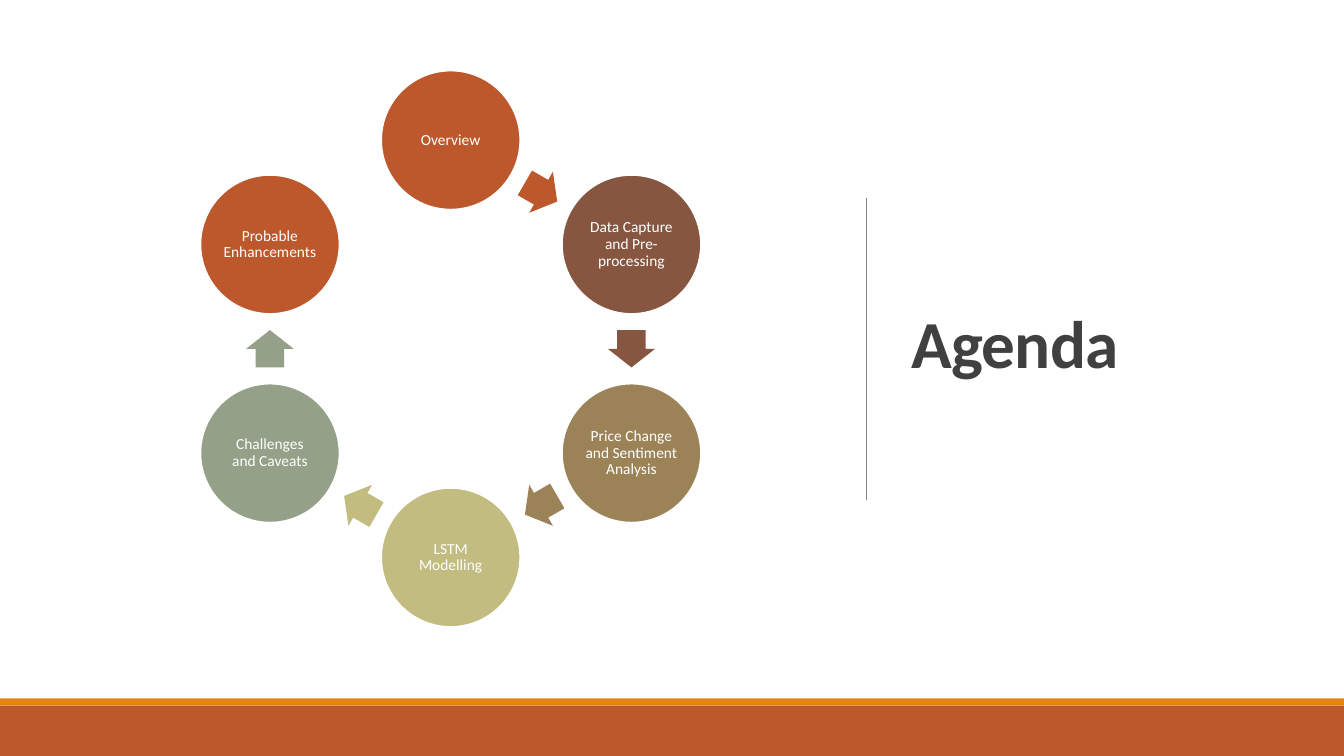
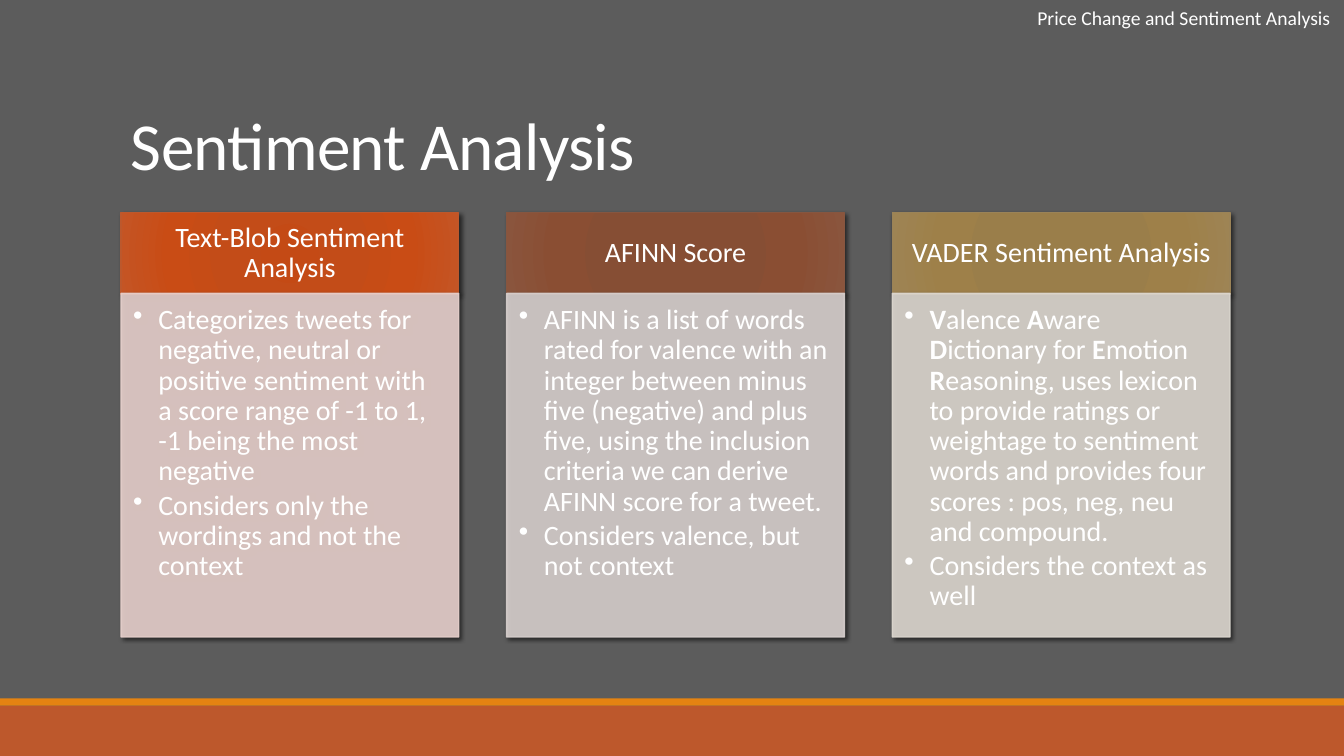
from math import cos, radians, sin

from pptx import Presentation
from pptx.dml.color import RGBColor
from pptx.enum.shapes import MSO_CONNECTOR, MSO_SHAPE
from pptx.enum.text import MSO_ANCHOR, MSO_AUTO_SIZE, PP_ALIGN
from pptx.oxml import parse_xml
from pptx.oxml.ns import nsdecls, qn
from pptx.util import Inches, Pt

# Shared look
COLORS = {
    "white": "FFFFFF", "dark": "404040", "gray": "5C5C5C", "rule": "808080",
    "rust": "BD582C", "orange": "E48312", "brown": "865640",
    "tan": "9B8357", "khaki": "C2BC80", "sage": "94A088",
    "rust_tint": "E8D1CD", "brown_tint": "D9D1CF", "tan_tint": "DED9D1",
}
FONT = "Calibri"
SLIDE_WIDTH, SLIDE_HEIGHT = 13.33, 7.5
TITLE_FORMAT = {"size": Pt(48)}

# Slide 1: topics around the ring, clockwise from the top
TOPICS = [
    ("Overview", "rust"),
    ("Data Capture and Pre-processing", "brown"),
    ("Price Change and Sentiment Analysis", "tan"),
    ("LSTM Modelling", "khaki"),
    ("Challenges and Caveats", "sage"),
    ("Probable Enhancements", "rust"),
]
RING_X, RING_Y, RING_RADIUS = 4.47, 3.46, 2.07
CIRCLE_SIZE = 1.38
ARROW_WIDTH, ARROW_HEIGHT = 0.37, 0.47

# Slide 2: one card per method; asterisks enclose bold letters
CARDS = [
    ("Text-Blob Sentiment Analysis", "rust",
     ["C44A15", "C34C18", "C94C15", "C45525"],
     ["Categorizes tweets for negative, neutral or positive sentiment with "
      "a score range of -1 to 1, -1 being the most negative",
      "Considers only the wordings and not the context"]),
    ("AFINN Score", "brown",
     ["874C32", "864E34", "8A4E33", "8A553D"],
     ["AFINN is a list of words rated for valence with an integer between "
      "minus five (negative) and plus five, using the inclusion criteria we "
      "can derive AFINN score for a tweet.",
      "Considers valence, but not context"]),
    ("VADER Sentiment Analysis", "tan",
     ["9A7D48", "9A7E4A", "9E8049", "9E8454"],
     ["*V*alence *A*ware *D*ictionary for *E*motion *R*easoning, uses lexicon "
      "to provide ratings or weightage to sentiment words and provides four "
      "scores : pos, neg, neu and compound.",
      "Considers the context as well"]),
]
GRADIENT_STOPS = (0, 34, 70, 100)
CARDS_LEFT, CARDS_WIDTH, CARD_WIDTH = 1.2, 11, 3.35
HEADER_TOP, HEADER_HEIGHT = 2.11, 0.81
BODY_TOP, BODY_HEIGHT = 2.91, 3.41


def rgb(color):
    return RGBColor.from_string(COLORS[color])


def set_values(target, values):
    for name, value in values.items():
        setattr(target, name, value)


def margins(left, top, right, bottom):
    return {"margin_left": Inches(left), "margin_top": Inches(top),
            "margin_right": Inches(right), "margin_bottom": Inches(bottom)}


def add_bullet(paragraph):
    properties = paragraph._p.get_or_add_pPr()
    properties.set("marL", str(Inches(0.25)))
    properties.set("indent", str(-Inches(0.25)))
    properties.append(parse_xml(f'<a:buChar {nsdecls("a")} char="•"/>'))


def write_text(shape, lines, frame=None, layout=None, font=None,
               color="white", tracking=0, bullets=False):
    text_frame = shape.text_frame
    set_values(text_frame, {"word_wrap": True, **(frame or {})})
    for index, line in enumerate(lines):
        paragraph = (text_frame.add_paragraph() if index
                     else text_frame.paragraphs[0])
        set_values(paragraph, {"alignment": PP_ALIGN.LEFT, **(layout or {})})
        if bullets:
            add_bullet(paragraph)
        for position, part in enumerate(line.split("*")):
            if not part:
                continue
            run = paragraph.add_run()
            run.text = part
            set_values(run.font, {"name": FONT, "bold": position % 2 == 1,
                                  **(font or {})})
            run.font.color.rgb = rgb(color)
            if tracking:
                run._r.get_or_add_rPr().set("spc", str(tracking))


def add_shape(slide, kind, left, top, width, height, fill=None,
              line=None, line_width=1):
    shape = slide.shapes.add_shape(kind, Inches(left), Inches(top),
                                   Inches(width), Inches(height))
    shape.shadow.inherit = False
    if fill:
        shape.fill.solid()
        shape.fill.fore_color.rgb = rgb(fill)
    if line:
        shape.line.color.rgb = rgb(line)
        shape.line.width = Pt(line_width)
    else:
        shape.line.fill.background()
    return shape


def add_text_box(slide, left, top, width, height, text, **formats):
    box = slide.shapes.add_textbox(Inches(left), Inches(top),
                                   Inches(width), Inches(height))
    write_text(box, [text], **formats)


def add_title(slide, left, top, width, height, text, anchor, color, bold):
    add_text_box(slide, left, top, width, height, text,
                 frame={"vertical_anchor": anchor},
                 layout={"line_spacing": 0.85},
                 font={**TITLE_FORMAT, "bold": bold},
                 color=color, tracking=-50)


def add_shadow(shape, blur):
    effects = shape._element.spPr.find(qn("a:effectLst"))
    effects.append(parse_xml(
        f'<a:outerShdw {nsdecls("a")} blurRad="{Pt(blur)}" dist="{Pt(2)}" '
        'dir="2700000" algn="br" rotWithShape="0"><a:srgbClr val="000000">'
        '<a:alpha val="60000"/></a:srgbClr></a:outerShdw>'))


def set_opacity(shape, percent):
    for color in shape._element.spPr.iter(qn("a:srgbClr")):
        color.append(parse_xml(
            f'<a:alpha {nsdecls("a")} val="{percent * 1000}"/>'))


def set_radial_gradient(shape, colors):
    stops = "".join(
        f'<a:gs pos="{stop * 1000}"><a:srgbClr val="{color}"/></a:gs>'
        for stop, color in zip(GRADIENT_STOPS, colors))
    gradient = parse_xml(
        f'<a:gradFill {nsdecls("a")} rotWithShape="1"><a:gsLst>{stops}'
        '</a:gsLst><a:path path="circle"><a:fillToRect l="100000" t="100000" '
        'r="100000" b="100000"/></a:path></a:gradFill>')
    shape._element.spPr.find(qn("a:prstGeom")).addnext(gradient)


def add_slide(presentation, background):
    slide = presentation.slides.add_slide(presentation.slide_layouts[6])
    slide.background.fill.solid()
    slide.background.fill.fore_color.rgb = rgb(background)
    # Footer bands
    for top, height, color in ((7, 0.5, "rust"), (6.93, 0.07, "orange")):
        add_shape(slide, MSO_SHAPE.RECTANGLE, 0, top, SLIDE_WIDTH, height, color)
    return slide


def ring_point(step):
    angle = radians(60 * step - 90)
    return (RING_X + RING_RADIUS * cos(angle),
            RING_Y + RING_RADIUS * sin(angle))


def add_topic(slide, step, text, color):
    x, y = ring_point(step)
    circle = add_shape(slide, MSO_SHAPE.OVAL, x - CIRCLE_SIZE / 2,
                       y - CIRCLE_SIZE / 2, CIRCLE_SIZE, CIRCLE_SIZE,
                       color, "white", 1.25)
    write_text(circle, [text],
               frame={"vertical_anchor": MSO_ANCHOR.MIDDLE,
                      **margins(0.02, 0.02, 0.02, 0.02)},
               layout={"alignment": PP_ALIGN.CENTER, "line_spacing": 0.9},
               font={"size": Pt(11)})


def add_ring_arrow(slide, step, color):
    (x1, y1), (x2, y2) = ring_point(step), ring_point(step + 1)
    arrow = add_shape(slide, MSO_SHAPE.RIGHT_ARROW,
                      (x1 + x2 - ARROW_WIDTH) / 2, (y1 + y2 - ARROW_HEIGHT) / 2,
                      ARROW_WIDTH, ARROW_HEIGHT, color)
    arrow.rotation = 30 + 60 * step
    arrow.adjustments[0] = 0.6
    arrow.adjustments[1] = 0.5


def add_divider(slide, x, top, bottom):
    divider = slide.shapes.add_connector(
        MSO_CONNECTOR.STRAIGHT, Inches(x), Inches(top), Inches(x), Inches(bottom))
    divider.line.color.rgb = rgb("rule")
    divider.line.width = Pt(0.5)
    divider._element.spPr.append(parse_xml(f'<a:effectLst {nsdecls("a")}/>'))


def add_card(slide, left, heading, color, gradient, points):
    header = add_shape(slide, MSO_SHAPE.RECTANGLE, left, HEADER_TOP,
                       CARD_WIDTH, HEADER_HEIGHT, line=color)
    set_radial_gradient(header, gradient)
    add_shadow(header, 3.5)
    write_text(header, [heading],
               frame={"vertical_anchor": MSO_ANCHOR.MIDDLE,
                      **margins(0.16, 0.09, 0.16, 0.09)},
               layout={"alignment": PP_ALIGN.CENTER, "line_spacing": 0.9},
               font={"size": Pt(20)})

    tint = f"{color}_tint"
    body = add_shape(slide, MSO_SHAPE.RECTANGLE, left, BODY_TOP,
                     CARD_WIDTH, BODY_HEIGHT, tint, tint)
    set_opacity(body, 90)
    add_shadow(body, 3)
    write_text(body, points,
               frame={"vertical_anchor": MSO_ANCHOR.TOP,
                      **margins(0.12, 0.12, 0.16, 0.17)},
               layout={"line_spacing": 0.9, "space_after": Pt(3)},
               font={"size": Pt(20)}, bullets=True)


def build_agenda(presentation):
    slide = add_slide(presentation, "white")
    add_title(slide, 8.94, 0.69, 3.69, 5.53, "Agenda",
              MSO_ANCHOR.MIDDLE, "dark", True)
    add_divider(slide, 8.59, 1.96, 4.96)
    for step, (text, color) in enumerate(TOPICS):
        add_topic(slide, step, text, color)
        if step < len(TOPICS) - 1:
            add_ring_arrow(slide, step, color)


def build_sentiment(presentation):
    slide = add_slide(presentation, "gray")
    add_title(slide, 1.2, 0.29, 11, 1.59, "Sentiment Analysis",
              MSO_ANCHOR.BOTTOM, "white", False)
    pitch = (CARDS_WIDTH - CARD_WIDTH) / (len(CARDS) - 1)
    for index, card in enumerate(CARDS):
        add_card(slide, CARDS_LEFT + index * pitch, *card)
    # Section label
    add_text_box(slide, 10.19, 0.01, 3.14, 0.34,
                 "Price Change and Sentiment Analysis",
                 frame={"word_wrap": False,
                        "auto_size": MSO_AUTO_SIZE.SHAPE_TO_FIT_TEXT},
                 font={"size": Pt(14)})


def main():
    presentation = Presentation()
    presentation.slide_width = Inches(SLIDE_WIDTH)
    presentation.slide_height = Inches(SLIDE_HEIGHT)
    build_agenda(presentation)
    build_sentiment(presentation)
    presentation.save("out.pptx")


if __name__ == "__main__":
    main()
